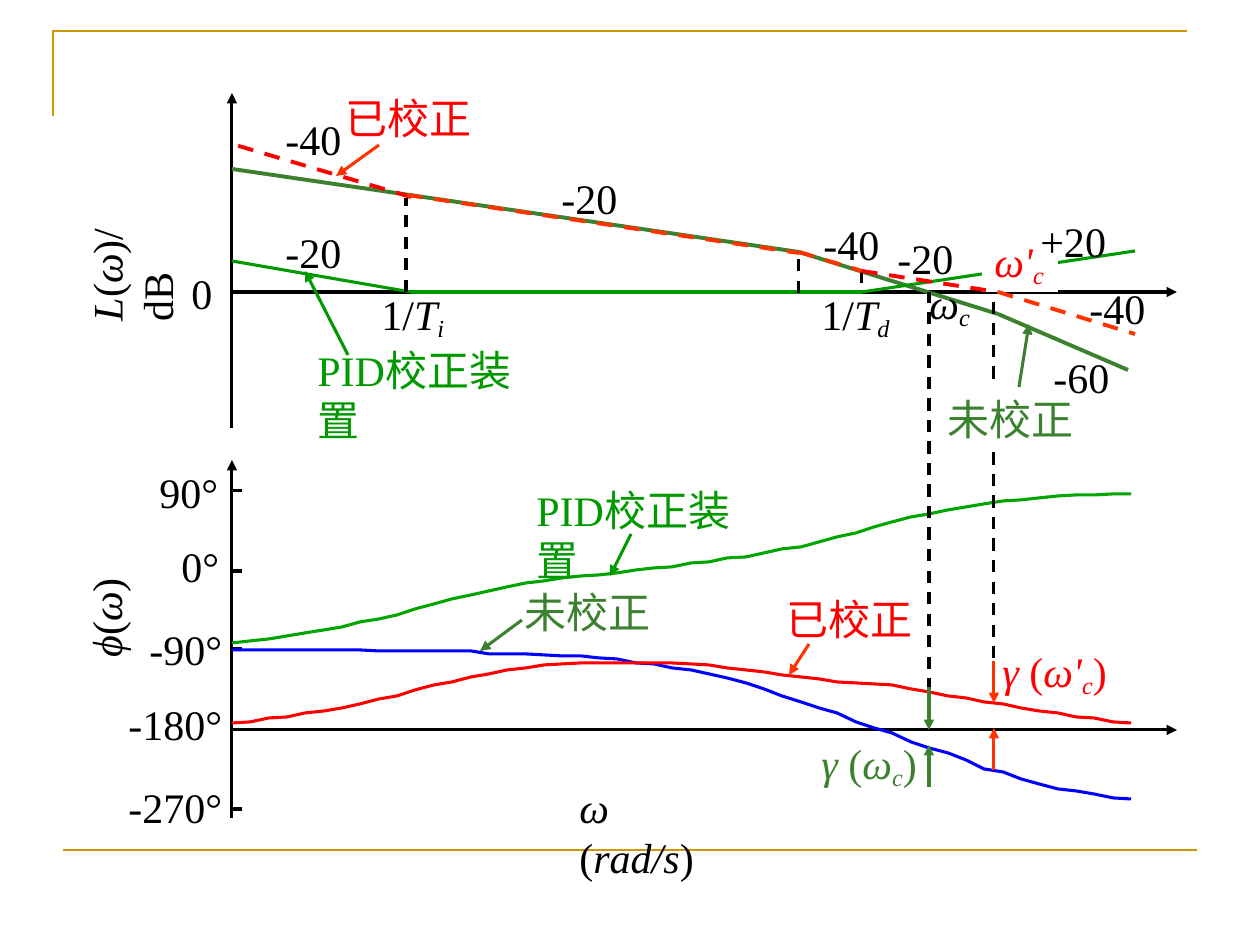
import itertools

import pptx
import pptx.dml.color
import pptx.enum.dml
import pptx.enum.shapes
import pptx.enum.text
import pptx.oxml.ns
import pptx.util
from lxml import etree

EMU_PER_PX = 914400 / 126

BLACK, WHITE, GOLD = "000000", "FFFFFF", "CC9900"
RED, ORANGE, BLUE = "FF0000", "FF3300", "0000FF"
OLIVE, GREEN, LIME = "3B812F", "009900", "00A500"


def px(n):
    return pptx.util.Emu(round(n * EMU_PER_PX))


def rgb(value):
    return pptx.dml.color.RGBColor.from_string(value)


def add_xml(parent, tag, **attrs):
    return etree.SubElement(parent, pptx.oxml.ns.qn(tag), **attrs)


class Diagram:
    font = "Times New Roman"
    size = 24
    thin = 1.75
    thick = 2.25
    label_height = 63

    def __init__(self, slide):
        self.s = slide

    def line(self, start, end, color=BLACK, width=thin, dash=False, arrow=False):
        cn = self.s.shapes.add_connector(
            pptx.enum.shapes.MSO_CONNECTOR.STRAIGHT, *map(px, start + end))
        cn.line.color.rgb = rgb(color)
        cn.line.width = pptx.util.Pt(width)
        if dash:
            cn.line.dash_style = pptx.enum.dml.MSO_LINE.DASH
        if arrow:
            add_xml(cn.line._get_or_add_ln(), "a:tailEnd", type="triangle")
        add_xml(cn._element.spPr, "a:effectLst")

    def segments(self, points, color, width):
        for start, end in itertools.pairwise(points):
            self.line(start, end, color, width)

    def outline(self, points, color, width=thin):
        fb = self.s.shapes.build_freeform(*points[0], scale=EMU_PER_PX)
        fb.add_line_segments(points[1:], close=False)
        sp = fb.convert_to_shape()
        sp.shadow.inherit = False
        sp.fill.background()
        sp.line.color.rgb = rgb(color)
        sp.line.width = pptx.util.Pt(width)

    def curve(self, heights, color):
        left, right = 232, 1131
        step = (right - left) / (len(heights) - 1)
        self.outline([(round(left + i * step), y) for i, y in enumerate(heights)], color)

    def label(self, x, y, w, runs, color=BLACK, fill=None, turn=0, wraps=False):
        """Runs are (text, style) pairs: i is italic, s is subscript."""
        box = (px(x), px(y), px(w), px(self.label_height))
        if fill:
            sp = self.s.shapes.add_shape(pptx.enum.shapes.MSO_SHAPE.RECTANGLE, *box)
            sp.shadow.inherit = False
            sp.fill.solid()
            sp.fill.fore_color.rgb = rgb(fill)
            sp.line.fill.background()
        else:
            sp = self.s.shapes.add_textbox(*box)
        sp.rotation = turn
        tf = sp.text_frame
        tf.word_wrap = True
        tf.vertical_anchor = pptx.enum.text.MSO_ANCHOR.TOP
        if not wraps:
            tf.margin_right = 0
        p = tf.paragraphs[0]
        p.alignment = pptx.enum.text.PP_ALIGN.LEFT
        for text, style in [(runs, "")] if isinstance(runs, str) else runs:
            r = p.add_run()
            r.text = text
            r.font.name = self.font
            r.font.size = pptx.util.Pt(self.size)
            r.font.color.rgb = rgb(color)
            r.font.italic = "i" in style
            if "s" in style:
                r._r.get_or_add_rPr().set("baseline", "-18000")


def draw_axes(d):
    left, right = 232, 1177
    for y in (292, 730):
        d.line((left, y), (right, y), arrow=True)
    for bottom, top in ((428, 93), (818, 460)):
        d.line((left, bottom), (left, top), arrow=True)
    for y in (491, 571, 649, 809):
        d.line((left, y), (left + 10, y))


def draw_curves(d):
    # Magnitude: uncorrected system and PID device
    d.segments([(232, 169), (799, 252), (998, 314), (1128, 370)], OLIVE, d.thick)
    d.segments([(232, 261), (411, 292), (862, 292), (1135, 251)], GREEN, d.thin)

    # Phase: uncorrected, PID device, corrected
    d.curve([650] * 8 + [651] * 6 + [654] * 3 + [
        655, 656, 656, 658, 659, 663, 664, 668, 670, 674, 678, 683, 689, 696,
        702, 708, 713, 722, 728, 733, 742, 748, 753, 760, 769, 772, 779, 784,
        789, 791, 794, 798, 799], BLUE)
    d.curve([
        643, 641, 639, 636, 633, 630, 627, 622, 619, 615, 609, 604, 599, 595,
        591, 587, 583, 581, 578, 576, 575, 573, 570, 568, 567, 563, 562, 558,
        557, 553, 549, 547, 542, 537, 533, 527, 522, 517, 514, 510, 507, 504,
        501, 500, 498, 496, 495, 495, 494, 494], LIME)
    d.curve([
        723, 722, 718, 717, 713, 711, 708, 704, 699, 696, 690, 685, 682, 677,
        674, 670, 668, 665, 664] + [663] * 6 + [
        664, 665, 668, 670, 672, 675, 677, 679, 682, 683, 684, 685, 689, 692,
        696, 698, 702, 704, 708, 711, 713, 717, 718, 722, 723], RED)

    # Dashed guides at the corner and crossover frequencies
    for x, start, end in ((862, 271, 292), (406, 292, 198), (799, 293, 251),
                          (994, 680, 292), (929, 712, 292)):
        d.line((x, start), (x, end), dash=True)


def draw_labels(d):
    # Axis scales and titles
    for x, y, w, text in (
            (179, 261, 47, "0"), (147, 460, 110, "90°"), (169, 534, 88, "0°"),
            (137, 617, 123, "-90°"), (116, 692, 145, "-180°"), (116, 775, 145, "-270°")):
        d.label(x, y, w, text)
    d.label(26, 222, 160, [("L", "i"), ("(", ""), ("ω", "i"), (")/dB", "")],
            turn=270, wraps=True)
    d.label(52, 585, 107, [("ϕ", "i"), ("(", ""), ("ω", "i"), (")", "")], turn=270)
    d.label(567, 775, 170, [("ω ", "i"), ("(", ""), ("rad/s", "i"), (")", "")], wraps=True)

    # Curve names
    for x, y, text, color, fill in (
            (333, 86, "已校正", RED, None), (935, 387, "未校正", OLIVE, WHITE),
            (512, 580, "未校正", OLIVE, None), (774, 587, "已校正", RED, None)):
        d.label(x, y, 151, text, color, fill)
    for x, y in ((305, 338), (524, 478)):
        d.label(x, y, 256, "PID校正装置", GREEN, wraps=True)

    # Frequencies and phase margins
    omega_c = [("ω", "i"), ("c", "is")]
    omega_c_new = [("ω'", "i"), ("c", "is")]
    d.label(917, 271, 67, omega_c)
    d.label(982, 229, 76, omega_c_new, RED, WHITE)
    for x, y, w, omega, color in ((809, 731, 122, omega_c, OLIVE),
                                  (990, 639, 129, omega_c_new, RED)):
        d.label(x, y, w, [("γ ", "i"), ("(", "")] + omega + [(")", "")], color)
    for x, w, index in ((369, 89, "i"), (809, 96, "d")):
        d.label(x, 282, w, [("1/", ""), ("T", "i"), (index, "is")])

    # Slopes
    for x, y, text in (
            (549, 166, "-20"), (811, 212, "-40"), (1041, 345, "-60"), (273, 220, "-20"),
            (273, 107, "-40"), (885, 226, "-20"), (1028, 209, "+20"), (1077, 276, "-40")):
        d.label(x, y, 91, text)


def draw_corrected_and_pointers(d):
    # Corrected magnitude
    for start, end, color in (
            ((411, 197), (232, 144), RED), ((799, 252), (862, 271), ORANGE),
            ((862, 271), (998, 292), RED), ((998, 292), (1135, 334), ORANGE),
            ((407, 195), (799, 253), ORANGE)):
        d.line(start, end, color, d.thick, dash=True)

    # Pointers from names to curves, then phase margin arrows
    for start, end, color in (
            ((379, 145), (336, 176), ORANGE), ((1019, 387), (1029, 324), OLIVE),
            ((348, 355), (305, 271), GREEN), ((522, 620), (480, 651), OLIVE),
            ((809, 644), (789, 675), ORANGE), ((631, 534), (610, 576), GREEN),
            ((929, 687), (929, 730), OLIVE), ((929, 787), (929, 745), OLIVE),
            ((994, 661), (994, 703), ORANGE), ((994, 770), (994, 728), ORANGE)):
        d.line(start, end, color, arrow=True)


def main():
    prs = pptx.Presentation()
    prs.slide_width, prs.slide_height = px(1260), px(945)
    d = Diagram(prs.slides.add_slide(prs.slide_layouts[6]))

    # Slide frame
    d.outline([(53, 116), (53, 31), (1187, 31)], GOLD, 1.5)
    d.line((63, 850), (1197, 850), GOLD, 1.5)

    draw_axes(d)
    draw_curves(d)
    draw_labels(d)
    draw_corrected_and_pointers(d)
    prs.save("out.pptx")


if __name__ == "__main__":
    main()
